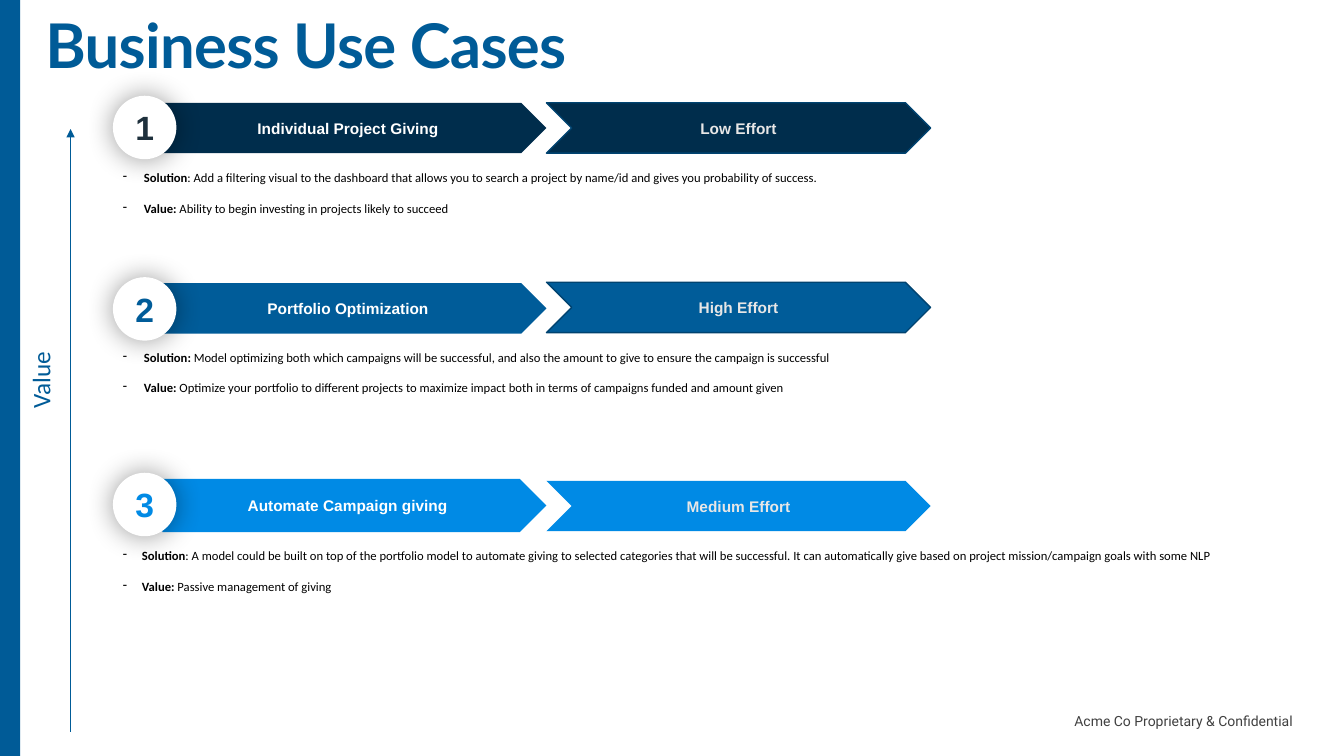
from lxml import etree
from pptx import Presentation
from pptx.dml.color import RGBColor
from pptx.enum.shapes import MSO_CONNECTOR, MSO_SHAPE
from pptx.enum.text import MSO_ANCHOR, MSO_AUTO_SIZE, PP_ALIGN
from pptx.oxml import parse_xml
from pptx.oxml.ns import nsdecls, qn
from pptx.util import Inches, Pt

RECT, PLATE = MSO_SHAPE.RECTANGLE, MSO_SHAPE.PENTAGON
CHEVRON, OVAL = MSO_SHAPE.CHEVRON, MSO_SHAPE.OVAL
STRAIGHT = MSO_CONNECTOR.STRAIGHT
TOP, MIDDLE = MSO_ANCHOR.TOP, MSO_ANCHOR.MIDDLE
LEFT, CENTER, RIGHT = PP_ALIGN.LEFT, PP_ALIGN.CENTER, PP_ALIGN.RIGHT
NO_FIT = MSO_AUTO_SIZE.NONE

BLUE, EDGE = "005B97", "004370"
TITLE = {"name": "Lato", "size": Pt(44), "bold": True}
LABEL = {"name": "Arial", "size": Pt(11), "bold": True}
NUMBER = {"name": "Arial", "size": Pt(24), "bold": True}
NOTE = {"name": "Calibri", "size": Pt(9)}
AXIS = {"name": "Calibri", "size": Pt(18)}
FOOTER = {"name": "Roboto", "size": Pt(10)}

CASES = [
    {"number": "1", "name": "Individual Project Giving", "effort": "Low Effort",
     "fill": "002D4C", "ink": "1E303C", "edge": EDGE, "indent": 0.21,
     "circle": 0.95, "plate": (1.02, 0.5), "chevron": 1.02, "notes": 1.64,
     "solution": ("Solution", ": Add a filtering visual to the dashboard that allows you to "
                  "search a project by name/id and gives you probability of success."),
     "value": ("Value:", " Ability to begin investing in projects likely to succeed")},
    {"number": "2", "name": "Portfolio Optimization", "effort": "High Effort",
     "fill": "005C99", "ink": "005C99", "edge": EDGE, "indent": 0.21,
     "circle": 2.75, "plate": (2.81, 0.5), "chevron": 2.8, "notes": 3.42,
     "solution": ("Solution:", " Model optimizing both which campaigns will be successful, and "
                  "also the amount to give to ensure the campaign is successful"),
     "value": ("Value:", " Optimize your portfolio to different projects to maximize impact "
               "both in terms of campaigns funded and amount given")},
    {"number": "3", "name": "Automate Campaign giving", "effort": "Medium Effort",
     "fill": "008AE5", "ink": "008AE5", "edge": None, "indent": 0.19,
     "circle": 4.69, "plate": (4.75, 0.53), "chevron": 4.77, "notes": 5.39,
     "solution": ("Solution", ": A model could be built on top of the portfolio model to automate "
                  "giving to selected categories that will be successful. It can automatically "
                  "give based on project mission/campaign goals with some NLP"),
     "value": ("Value:", " Passive management of giving")},
]


def rgb(color):
    """Turn a hex string into a colour."""
    return RGBColor.from_string(color)


def set_font(font, style, color):
    """Apply a style dict and a colour to a font."""
    for name, value in style.items():
        setattr(font, name, value)
    font.color.rgb = rgb(color)


def clear_insets(tf):
    """Remove the inner margins of a text frame."""
    for side in ("left", "top", "right", "bottom"):
        setattr(tf, f"margin_{side}", 0)


def write(tf, text, style, color, align=LEFT, anchor=MIDDLE):
    """Write one styled paragraph into a text frame and return it."""
    tf.word_wrap = True
    tf.vertical_anchor = anchor
    p = tf.paragraphs[0]
    p.alignment = align
    r = p.add_run()
    r.text = text
    set_font(r.font, style, color)
    return p


def add_box(s, x, y, w, h):
    """Add an empty text box."""
    return s.shapes.add_textbox(Inches(x), Inches(y), Inches(w), Inches(h))


def add_block(s, kind, x, y, w, h, fill, edge=None):
    """Add a filled preset shape with an optional outline."""
    sp = s.shapes.add_shape(kind, Inches(x), Inches(y), Inches(w), Inches(h))
    sp.shadow.inherit = False
    sp.fill.solid()
    sp.fill.fore_color.rgb = rgb(fill)
    if edge:
        sp.line.color.rgb = rgb(edge)
        sp.line.width = Pt(1)
    else:
        sp.line.fill.background()
    return sp


def add_circle(s, number, y, color):
    """Add a white numbered circle with a soft glow of shadow."""
    sp = add_block(s, OVAL, 1.12, y, 0.63, 0.63, "FFFFFF")
    effects = sp._element.spPr.find(qn("a:effectLst"))
    effects.append(parse_xml(
        f'<a:outerShdw {nsdecls("a")} blurRad="{Pt(20)}" dist="0" dir="0" algn="ctr" '
        'rotWithShape="0"><a:srgbClr val="000000"><a:alpha val="40000"/></a:srgbClr>'
        '</a:outerShdw>'))
    clear_insets(sp.text_frame)
    write(sp.text_frame, number, NUMBER, color, CENTER)


def add_notes(s, y, indent, notes):
    """Add dashed notes, each with a bold lead."""
    tf = add_box(s, 1.12, y, 11.17, 0.56).text_frame
    tf.word_wrap = True
    for i, (lead, rest) in enumerate(notes):
        p = tf.paragraphs[0] if i == 0 else tf.add_paragraph()
        if i:
            p.space_before = Pt(11)
        pPr = p._p.get_or_add_pPr()
        pPr.set("marL", str(Inches(indent)))
        pPr.set("indent", str(-Inches(indent)))
        etree.SubElement(pPr, qn("a:buChar")).set("char", "-")
        for text, bold in ((lead, True), (rest, False)):
            r = p.add_run()
            r.text = text
            set_font(r.font, {**NOTE, "bold": bold}, "000000")


def add_case(s, case):
    """Add one use case: name, effort, number and notes."""
    y, h = case["plate"]
    sp = add_block(s, PLATE, 1.61, y, 3.81, h, case["fill"])
    clear_insets(sp.text_frame)
    write(sp.text_frame, case["name"], LABEL, "FFFFFF", CENTER)
    sp = add_block(s, CHEVRON, 5.42, case["chevron"], 3.81, 0.5, case["fill"], case["edge"])
    write(sp.text_frame, case["effort"], LABEL, "E7E6E6", CENTER)
    add_circle(s, case["number"], case["circle"], case["ink"])
    add_notes(s, case["notes"], case["indent"], (case["solution"], case["value"]))


def add_title(s, text):
    """Place and format the title placeholder."""
    sp = s.shapes.title
    sp.left, sp.top, sp.width, sp.height = (Inches(v) for v in (0.45, 0.15, 11.85, 0.75))
    tf = sp.text_frame
    tf.auto_size = NO_FIT
    clear_insets(tf)
    p = write(tf, text, TITLE, BLUE, anchor=TOP)
    p.line_spacing = 0.9
    p.runs[0].font._element.set("spc", "-50")


def add_value_axis(s):
    """Add the upward value arrow and its vertical label."""
    line = s.shapes.add_connector(STRAIGHT, Inches(0.7), Inches(7.26), Inches(0.7), Inches(1.28))
    line.line.color.rgb = rgb(BLUE)
    line.line.width = Pt(0.5)
    etree.SubElement(line.line._get_or_add_ln(), qn("a:tailEnd")).set("type", "triangle")
    etree.SubElement(line._element.spPr, qn("a:effectLst"))
    tf = add_box(s, 0.2, 3.35, 0.5, 0.8).text_frame
    write(tf, "Value", AXIS, BLUE, anchor=TOP)
    tf._txBody.bodyPr.set("vert", "vert270")


def add_footer(s, text):
    """Add the right-aligned footer."""
    tf = add_box(s, 10.31, 6.95, 2.51, 0.4).text_frame
    clear_insets(tf)
    write(tf, text, FOOTER, "404040", RIGHT)


def main():
    """Build the slide and save it."""
    prs = Presentation()
    prs.slide_width, prs.slide_height = Inches(13.33), Inches(7.5)
    s = prs.slides.add_slide(prs.slide_layouts[5])
    add_block(s, RECT, 0, 0, 0.2, 7.5, BLUE)
    add_title(s, "Business Use Cases")
    add_value_axis(s)
    for case in CASES:
        add_case(s, case)
    add_footer(s, "Acme Co Proprietary & Confidential")
    prs.save("out.pptx")


if __name__ == "__main__":
    main()
